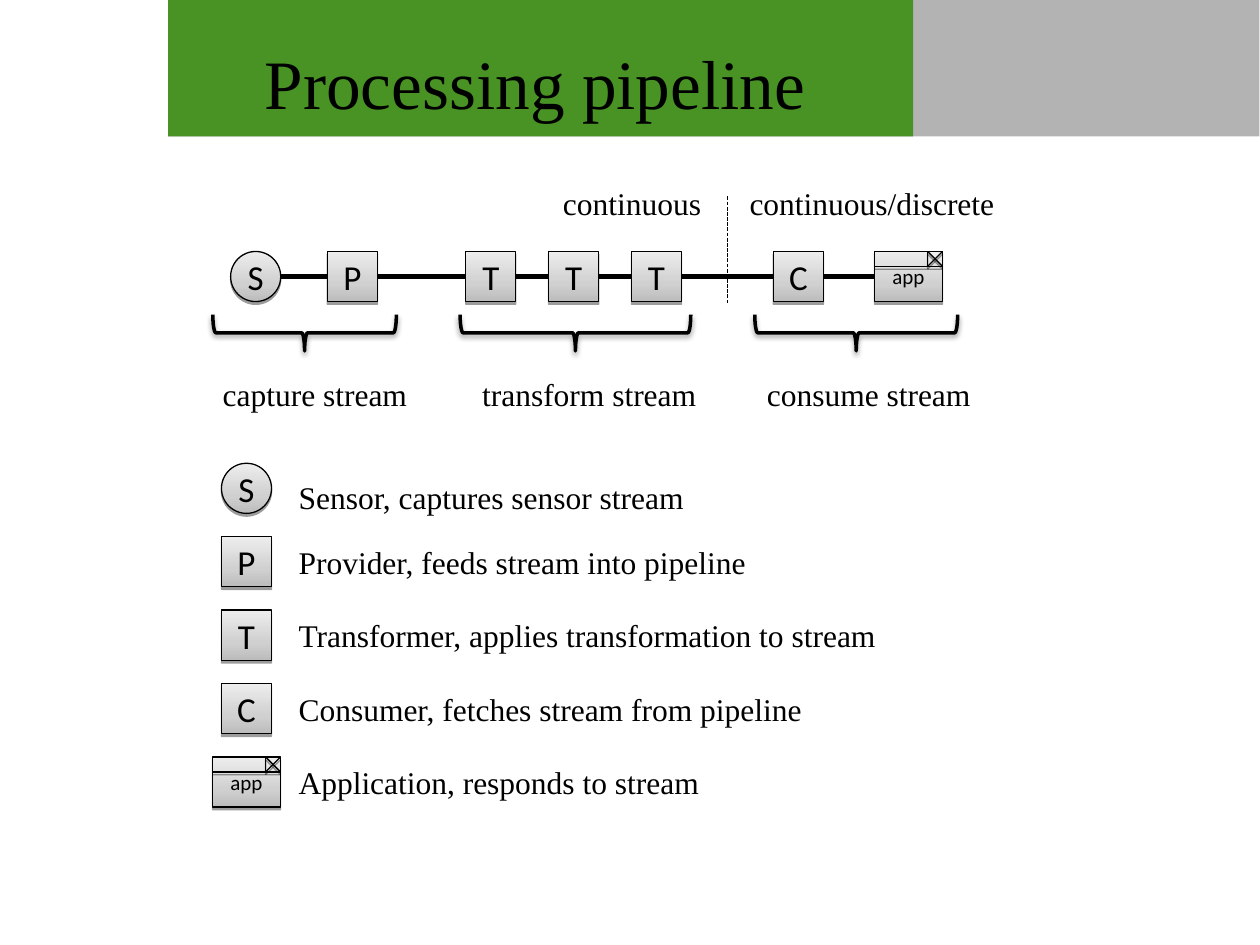
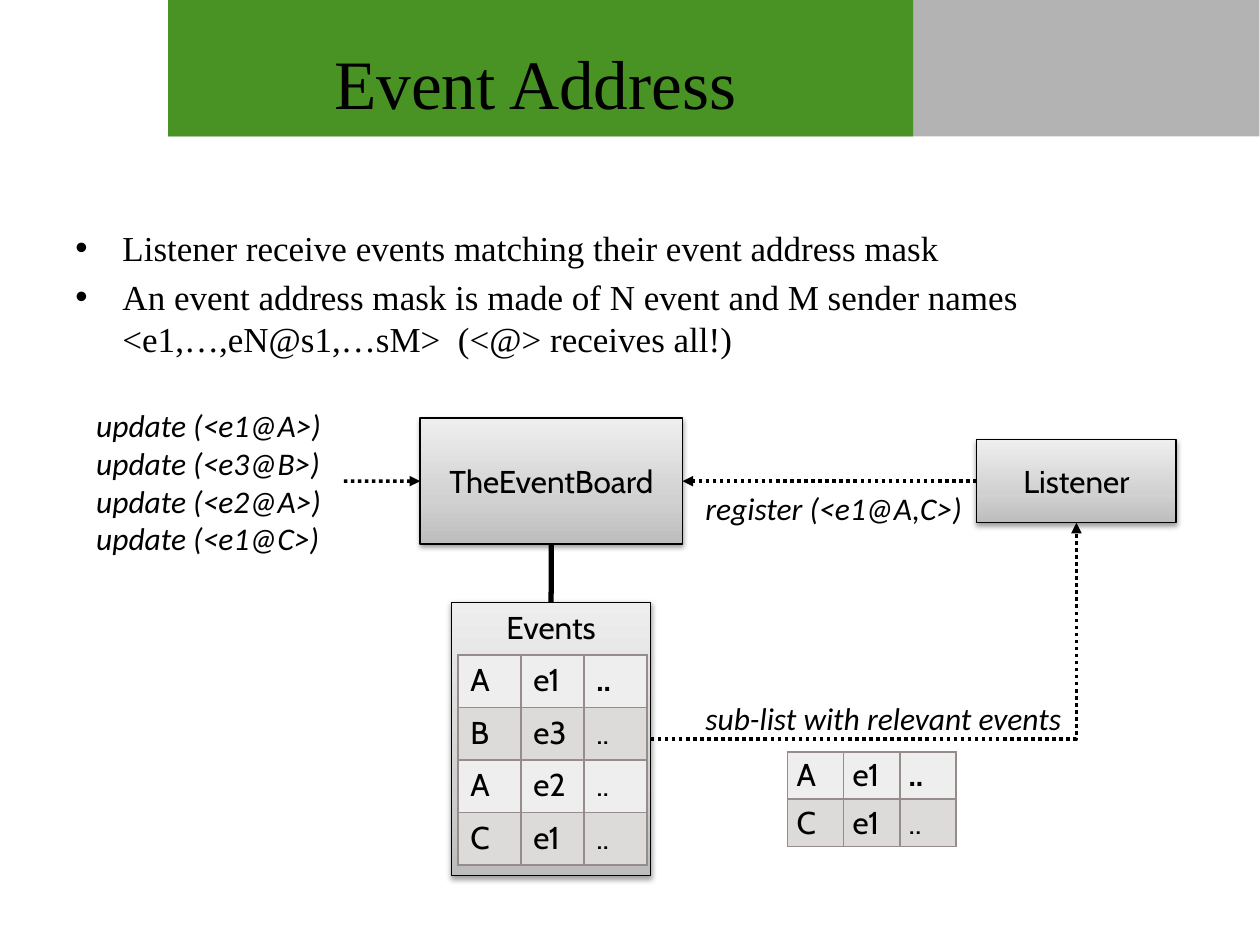
from itertools import pairwise

from lxml.etree import SubElement
from pptx import Presentation
from pptx.dml.color import RGBColor
from pptx.enum.dml import MSO_LINE
from pptx.enum.shapes import MSO_CONNECTOR as Link, MSO_SHAPE as Preset
from pptx.enum.text import MSO_ANCHOR as Anchor, PP_ALIGN as Align
from pptx.oxml import parse_xml
from pptx.oxml.ns import nsdecls, qn
from pptx.util import Cm, Pt

# Shared look
BLACK, GREEN, GREY = "000000", "489324", "B3B3B3"
ROW_FILLS = ("EFEEEE", "DDDADA")
TABLE_BORDER = "968C8C"
TILE_GRADIENT = ((0, "BCBCBC"), (35, "D0D0D0"), (100, "EDEDED"))
BOX_GRADIENT = ((0, "BDBDBD"), (35, "D1D1D1"), (100, "EEEEEE"))
SERIF, SANS, CABIN = "Times New Roman", "Calibri", "Cabin"
TOP, LEFT, BOTTOM, RIGHT = range(4)
TILE, APP_WIDTH = 1.01, 1.37


def color(code):
    return RGBColor.from_string(code)


def lengths(*values):
    return [Cm(value) for value in values]


# Text
def write(frame, text, font, size, align=Align.LEFT, italic=False, bold=False):
    frame.text = text
    for para in frame.paragraphs:
        para.alignment = align
        for span in para.runs:
            span.font.name, span.font.size = font, Pt(size)
            span.font.italic, span.font.bold = italic, bold
            span.font.color.rgb = color(BLACK)


def add_label(slide, text, left, top, width, height=1.02, font=SERIF, italic=False):
    box = slide.shapes.add_textbox(*lengths(left, top, width, height))
    box.text_frame.word_wrap = False
    write(box.text_frame, text, font, 18, italic=italic)


def add_bullets(slide, text, left, top, width, height):
    frame = slide.shapes.add_textbox(*lengths(left, top, width, height)).text_frame
    frame.word_wrap = True
    write(frame, text, SERIF, 20)
    for para in frame.paragraphs:
        para.space_before = Pt(4)
        props = para._p.get_or_add_pPr()
        props.set("marL", str(Cm(0.95)))
        props.set("indent", str(-Cm(0.95)))
        SubElement(props, qn("a:buFont"), typeface="Arial")
        SubElement(props, qn("a:buChar"), char="•")


# Shapes and lines
def set_shadow(shape, blur=None):
    """Replace the theme shadow by a soft drop shadow, or by none."""
    effects = SubElement(shape._element.spPr, qn("a:effectLst"))
    if blur is not None:
        shadow = SubElement(effects, qn("a:outerShdw"), blurRad=str(Pt(blur)),
                            dist=str(Pt(1.6)), dir="5400000", rotWithShape="0")
        tint = SubElement(shadow, qn("a:srgbClr"), val=BLACK)
        SubElement(tint, qn("a:alpha"), val="38000")


def set_gradient(shape, stops):
    marks = "".join(f'<a:gs pos="{place * 1000}"><a:srgbClr val="{code}"/></a:gs>'
                    for place, code in stops)
    fill = parse_xml(f'<a:gradFill {nsdecls("a")} rotWithShape="1"><a:gsLst>{marks}'
                     '</a:gsLst><a:lin ang="16200000" scaled="0"/></a:gradFill>')
    shape._element.spPr.find(qn("a:prstGeom")).addnext(fill)


def add_band(slide, width, fill):
    band = slide.shapes.add_shape(Preset.RECTANGLE, *lengths(3.39, 0, width, 2.75))
    band.fill.solid()
    band.fill.fore_color.rgb = color(fill)
    band.line.fill.background()
    band.shadow.inherit = False


def add_block(slide, preset, place, text, gradient, blur, font, size):
    block = slide.shapes.add_shape(preset, *lengths(*place))
    set_gradient(block, gradient)
    block.line.color.rgb, block.line.width = color(BLACK), Pt(0.75)
    set_shadow(block, blur)
    write(block.text_frame, text, font, size, Align.CENTER)
    return block


def add_line(slide, ends=(0, 0, 0, 0), start=None, finish=None, weight=3.0,
             dash=None, arrow=False, blur=None, kind=Link.STRAIGHT):
    """Draw between points; start and finish are (shape, side) joints."""
    line = slide.shapes.add_connector(kind, *lengths(*ends))
    if start:
        line.begin_connect(*start)
    if finish:
        line.end_connect(*finish)
    line.line.color.rgb, line.line.width = color(BLACK), Pt(weight)
    if dash:
        line.line.dash_style = dash
    if arrow:
        SubElement(line.line._get_or_add_ln(), qn("a:tailEnd"), type="triangle")
    set_shadow(line, blur)
    return line


def add_dotted_arrow(slide, **options):
    return add_line(slide, weight=2, dash=MSO_LINE.ROUND_DOT, arrow=True, **options)


# Pipeline parts
def add_tile(slide, letter, left, top):
    preset = Preset.OVAL if letter == "S" else Preset.RECTANGLE
    tile = add_block(slide, preset, (left, top, TILE, TILE), letter,
                     TILE_GRADIENT, 0, SANS, 20)
    tile.text_frame.word_wrap = False
    return tile


def add_app(slide, left, top):
    """An application window with a title bar and a close button."""
    window = add_block(slide, Preset.FLOWCHART_PROCESS, (left, top, APP_WIDTH, TILE),
                       "app", TILE_GRADIENT, 0, SANS, 12)
    window.text_frame.word_wrap = False
    right, bar = left + APP_WIDTH, top + 0.3
    button = right - 0.3
    for ends in ((left, bar, right, bar), (button, top, button, bar),
                 (button, top, right, bar), (right, top, button, bar)):
        add_line(slide, ends, weight=0.75, blur=0)
    return window


def add_brace(slide, center, span):
    depth, middle = 0.73, 6.71
    brace = slide.shapes.add_shape(Preset.RIGHT_BRACE, *lengths(
        center - depth / 2, middle - span / 2, depth, span))
    brace.rotation = 90
    brace.fill.background()
    brace.line.color.rgb, brace.line.width = color(BLACK), Pt(2)
    set_shadow(brace, 3.1)


# Event tables
def add_event_table(slide, rows, left, top, column, row_height, inset=(0.25, 0.13)):
    count = len(rows[0])
    table = slide.shapes.add_table(len(rows), count, *lengths(
        left, top, column * count, row_height * len(rows))).table
    table.first_row = table.horz_banding = False
    for line in table.columns:
        line.width = Cm(column)
    for index, values in enumerate(rows):
        table.rows[index].height = Cm(row_height)
        for cell, value in zip(table.rows[index].cells, values):
            write(cell.text_frame, value, CABIN, 18, bold=index == 0 and value == "..")
            cell.margin_left = cell.margin_right = Cm(inset[0])
            cell.margin_top = cell.margin_bottom = Cm(inset[1])
            props = cell._tc.get_or_add_tcPr()
            for side in "LRTB":
                edge = SubElement(props, qn(f"a:ln{side}"), w=str(Pt(1)))
                SubElement(SubElement(edge, qn("a:solidFill")), qn("a:srgbClr"),
                           val=TABLE_BORDER)
            cell.fill.solid()
            cell.fill.fore_color.rgb = color(ROW_FILLS[index % 2])


# Slides
def add_page(deck, title):
    page = deck.slides.add_slide(deck.slide_layouts[6])
    add_band(page, 22, GREY)
    add_band(page, 15.02, GREEN)
    box = page.shapes.add_textbox(*lengths(3.39, 0.76, 14.8, 1.78))
    box.text_frame.word_wrap = True
    box.text_frame.vertical_anchor = Anchor.MIDDLE
    write(box.text_frame, title, SERIF, 39.6, Align.CENTER)
    return page


def build_pipeline(deck):
    page = add_page(deck, "Processing pipeline")

    # Chain of stages
    top, sensor_left = 5.07, 4.65
    middle = top + TILE / 2
    add_tile(page, "S", sensor_left, top)
    stages = [add_tile(page, letter, left, top) for letter, left in (
        ("P", 6.6), ("T", 9.39), ("T", 11.06), ("T", 12.73), ("C", 15.59))]
    stages.append(add_app(page, 17.63, top))
    add_line(page, (sensor_left + TILE, middle, 6.6, middle), finish=(stages[0], LEFT))
    for stage, following in pairwise(stages):
        add_line(page, start=(stage, RIGHT), finish=(following, LEFT))

    # Phases below and stream types above
    for text, left, width, center, span in (
            ("capture stream", 4.24, 4.27, 6.14, 3.7),
            ("transform stream", 9.47, 4.9, 11.6, 4.65),
            ("consume stream", 15.21, 4.65, 17.26, 4.09)):
        add_brace(page, center, span)
        add_label(page, text, left, 7.44, width)
    add_label(page, "continuous", 11.1, 3.58, 3.35)
    add_label(page, "continuous/discrete", 14.86, 3.58, 5.54)
    add_line(page, (14.66, 3.96, 14.66, 6.1), weight=0.75, dash=MSO_LINE.SQUARE_DOT)

    # Legend
    center, first, step = 4.97, 9.34, 1.48
    for index, (symbol, text, width) in enumerate((
            ("S", "Sensor, captures sensor stream", 8.33),
            ("P", "Provider, feeds stream into pipeline", 9.63),
            ("T", "Transformer, applies transformation to stream", 12.42),
            ("C", "Consumer, fetches stream from pipeline", 11),
            ("app", "Application, responds to stream", 8.71))):
        row = first + index * step
        if symbol == "app":
            add_app(page, center - APP_WIDTH / 2, row)
        else:
            add_tile(page, symbol, center - TILE / 2, row)
        add_label(page, text, 5.77, row + (0.18 if symbol == "S" else 0), width)


def build_event_address(deck):
    page = add_page(deck, "Event Address")
    add_bullets(page, "Listener receive events matching their event address mask\n"
                "An event address mask is made of N event and M sender names "
                "<e1,…,eN@s1,…sM>  (<@> receives all!)", 1.27, 4.44, 22.86, 4.01)

    # Boxes
    board, events, listener = (
        add_block(page, Preset.RECTANGLE, place, text, BOX_GRADIENT, 3.1, CABIN, 18)
        for text, place in (("TheEventBoard", (8.47, 8.43, 5.29, 2.54)),
                            ("Events", (9.1, 12.14, 4.02, 5.51)),
                            ("Listener", (19.69, 8.86, 4.02, 1.68))))
    events.text_frame.vertical_anchor = Anchor.TOP

    # Links
    add_line(page, start=(board, BOTTOM), finish=(events, TOP))
    add_dotted_arrow(page, ends=(6.93, 9.7, 8.47, 9.7), finish=(board, LEFT))
    add_dotted_arrow(page, start=(listener, LEFT), finish=(board, RIGHT))
    reply = add_dotted_arrow(page, start=(events, RIGHT), finish=(listener, BOTTOM),
                             kind=Link.ELBOW)
    reply._element.spPr.find(qn("a:prstGeom")).set("prst", "bentConnector2")

    # Messages
    updates = "\n".join(f"update (<{event}>)" for event in ("e1@A", "e3@B", "e2@A", "e1@C"))
    for text, left, top, width, height in (
            (updates, 1.69, 8.06, 5.26, 3.33),
            ("register (<e1@A,C>)", 13.97, 9.74, 5.74, 1.02),
            ("sub-list with relevant events", 13.97, 13.97, 7.77, 1.02)):
        add_label(page, text, left, top, width, height, SANS, italic=True)

    # Stored events and the matching ones
    add_event_table(page, (("A", "e1", ".."), ("B", "e3", ".."),
                           ("A", "e2", ".."), ("C", "e1", "..")), 9.23, 13.2, 1.27, 1.06)
    add_event_table(page, (("A", "e1", ".."), ("C", "e1", "..")),
                    15.88, 15.16, 1.13, 0.95, (0.18, 0.09))


def main():
    deck = Presentation()
    deck.slide_width, deck.slide_height = lengths(25.4, 19.05)
    build_pipeline(deck)
    build_event_address(deck)
    deck.save("out.pptx")


if __name__ == "__main__":
    main()
